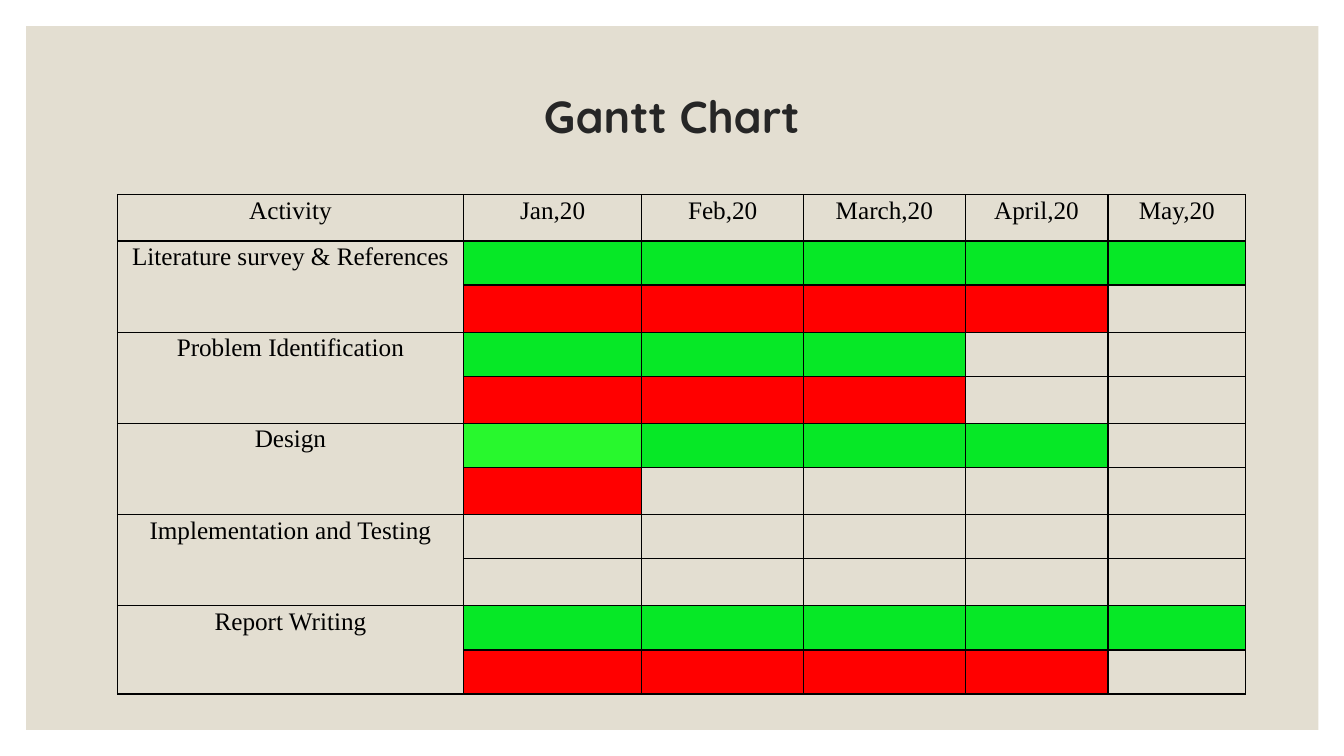
from dataclasses import dataclass

from lxml.etree import SubElement
from pptx import Presentation
from pptx.dml.color import RGBColor
from pptx.enum.shapes import MSO_SHAPE as Shape
from pptx.enum.text import MSO_ANCHOR as Anchor, PP_ALIGN as Align
from pptx.oxml.ns import qn
from pptx.util import Pt

SAND = RGBColor(0xE3, 0xDE, 0xD1)
INK = RGBColor(0x26, 0x26, 0x26)
BLACK = RGBColor(0, 0, 0)
GREEN = RGBColor(0x06, 0xE8, 0x26)
LIGHT_GREEN = RGBColor(0x28, 0xF8, 0x2D)
RED = RGBColor(0xFF, 0, 0)


@dataclass
class Activity:
    name: str
    planned: int  # months filled in the upper row
    actual: int  # months filled in the lower row
    first_colour: RGBColor = GREEN


MONTHS = ["Jan,20", "Feb,20", "March,20", "April,20", "May,20"]
ACTIVITIES = [
    Activity("Literature survey & References", 5, 4),
    Activity("Problem Identification", 3, 3),
    Activity("Design", 4, 1, LIGHT_GREEN),
    Activity("Implementation and Testing", 0, 0),
    Activity("Report Writing", 5, 4),
]
COLUMN_WIDTHS = [247, 127.5, 115.5, 115.5, 102, 98.5]
ROW_HEIGHTS = [33.1] + [31.5, 33.7] * 4 + [31.5, 31.5]


def add_panel(page) -> None:
    panel = page.shapes.add_shape(
        Shape.RECTANGLE, Pt(18.7), Pt(18.7), Pt(923), Pt(502.6))
    panel.shadow.inherit = False
    panel.fill.solid()
    panel.fill.fore_color.rgb = SAND
    panel.line.fill.background()
    page.shapes.title.element.addprevious(panel.element)


def set_title(page, text: str) -> None:
    title = page.shapes.title
    title.left, title.top, title.width, title.height = Pt(84), Pt(31), Pt(792), Pt(108)
    title.text_frame.text = text
    title.text_frame.vertical_anchor = Anchor.MIDDLE
    para = title.text_frame.paragraphs[0]
    para.alignment = Align.CENTER
    para.line_spacing = 0.9
    para.font.name = "Quicksand"
    para.font.size = Pt(32)
    para.font.bold = True
    para.font.color.rgb = INK


def format_cell(cell) -> None:
    cell.margin_left = cell.margin_right = Pt(5)
    cell.margin_top = cell.margin_bottom = 0
    properties = cell._tc.get_or_add_tcPr()
    for side in ("lnL", "lnR", "lnT", "lnB"):
        border = SubElement(properties, qn(f"a:{side}"), w=str(Pt(1)))
        fill = SubElement(border, qn("a:solidFill"))
        SubElement(fill, qn("a:srgbClr"), val=str(BLACK))
    cell.fill.background()
    para = cell.text_frame.paragraphs[0]
    para.alignment = Align.CENTER
    para.line_spacing = 1.07
    para.font.name = "Times New Roman"
    para.font.size = Pt(18)
    para.font.color.rgb = BLACK


def write_cell(cell, text: str) -> None:
    cell.text_frame.paragraphs[0].add_run().text = text


def fill_months(table, row: int, colours: list[RGBColor]) -> None:
    for column, colour in enumerate(colours, start=1):
        cell = table.cell(row, column)
        cell.fill.solid()
        cell.fill.fore_color.rgb = colour


def add_gantt_table(page) -> None:
    table = page.shapes.add_table(
        len(ROW_HEIGHTS), len(COLUMN_WIDTHS), Pt(84), Pt(139),
        Pt(sum(COLUMN_WIDTHS)), Pt(sum(ROW_HEIGHTS))).table
    table.first_row = table.horz_banding = False
    for column, width in zip(table.columns, COLUMN_WIDTHS):
        column.width = Pt(width)
    for row, height in zip(table.rows, ROW_HEIGHTS):
        row.height = Pt(height)
    for cell in table.iter_cells():
        format_cell(cell)

    # Header row
    for column, heading in enumerate(["Activity", *MONTHS]):
        write_cell(table.cell(0, column), heading)

    # Two rows of bars for each activity
    for index, activity in enumerate(ACTIVITIES):
        row = 1 + 2 * index
        name_cell = table.cell(row, 0)
        name_cell.merge(table.cell(row + 1, 0))
        write_cell(name_cell, activity.name)
        planned = [activity.first_colour] + [GREEN] * (len(MONTHS) - 1)
        fill_months(table, row, planned[:activity.planned])
        fill_months(table, row + 1, [RED] * activity.actual)


def main() -> None:
    deck = Presentation()
    deck.slide_width, deck.slide_height = Pt(960), Pt(540)
    page = deck.slides.add_slide(deck.slide_layouts[5])
    add_panel(page)
    set_title(page, "Gantt Chart")
    add_gantt_table(page)
    deck.save("out.pptx")


if __name__ == "__main__":
    main()
